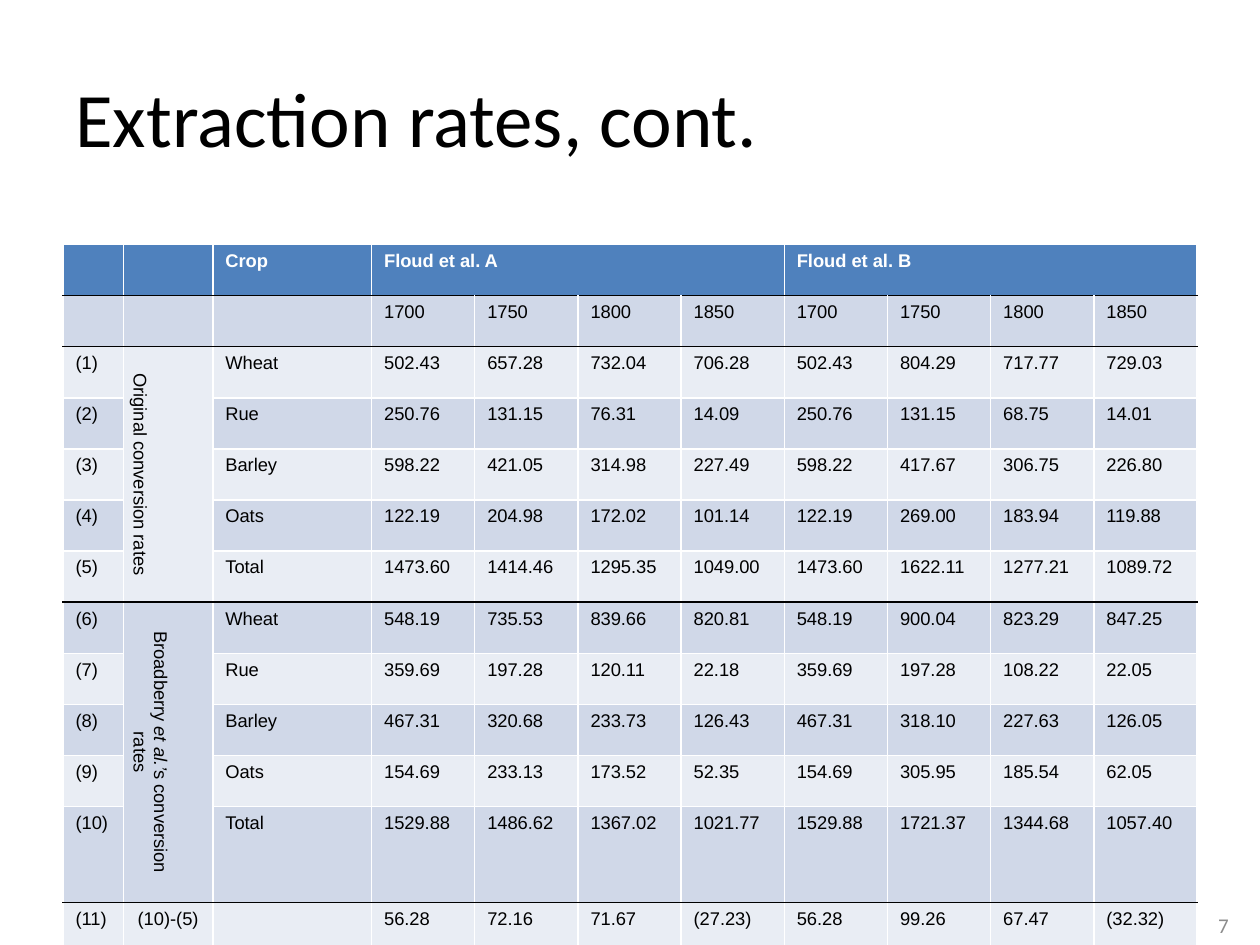
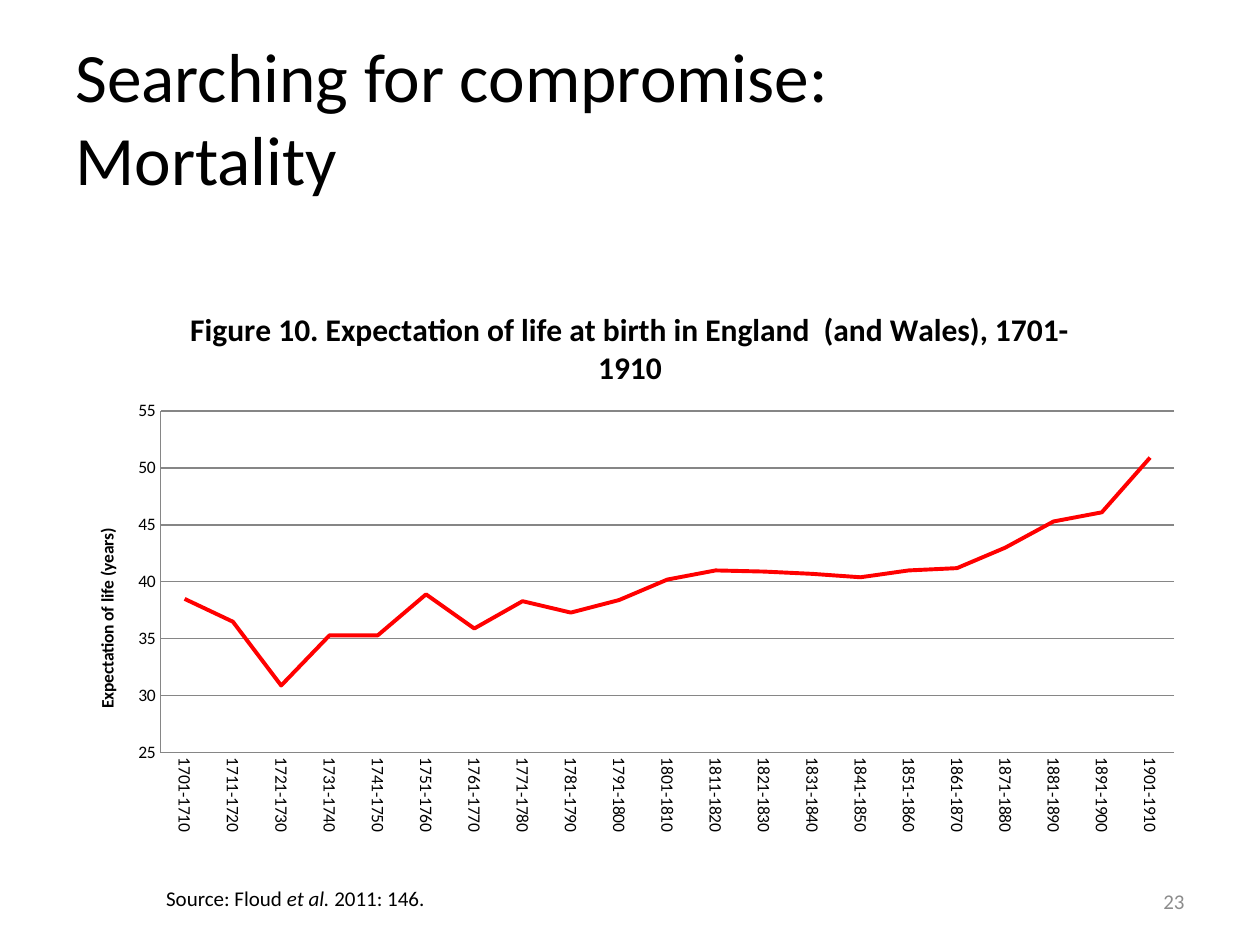
from lxml import etree
from pptx import Presentation
from pptx.chart.data import CategoryChartData
from pptx.dml.color import RGBColor
from pptx.enum.chart import XL_CHART_TYPE as CT, XL_TICK_MARK as TICK
from pptx.enum.text import MSO_ANCHOR as ANCHOR, PP_ALIGN as ALIGN
from pptx.oxml import parse_xml
from pptx.oxml.ns import nsdecls, qn
from pptx.util import Cm, Pt

BLACK, WHITE, GREY, RED = "000000", "FFFFFF", "8C8C8C", "FF0000"
HEADER, DARK_BAND, LIGHT_BAND, AXIS = "4F81BD", "D0D8E8", "E9EDF4", "868686"
MARGIN, CONTENT_W = 1.27, 22.86
TITLE_BOX = (MARGIN, 0.76, 18.64, 3.18)

ROW_H = 1.03
COL_W = [1.22, 1.8, 3.2] + [2.08] * 8
RULED_ROWS = {0, 1, 6, 11, 12}
YEARS = ["1700", "1750", "1800", "1850"]
CROPS = ["Wheat", "Rue", "Barley", "Oats", "Total"]
ORIGINAL_RATES = [("Original conversion rates", False)]
BROADBERRY_RATES = [("Broadberry ", False), ("et al.’", True), ("s conversion rates", False)]
OUTPUT = """
502.43 657.28 732.04 706.28 502.43 804.29 717.77 729.03
250.76 131.15 76.31 14.09 250.76 131.15 68.75 14.01
598.22 421.05 314.98 227.49 598.22 417.67 306.75 226.80
122.19 204.98 172.02 101.14 122.19 269.00 183.94 119.88
1473.60 1414.46 1295.35 1049.00 1473.60 1622.11 1277.21 1089.72
548.19 735.53 839.66 820.81 548.19 900.04 823.29 847.25
359.69 197.28 120.11 22.18 359.69 197.28 108.22 22.05
467.31 320.68 233.73 126.43 467.31 318.10 227.63 126.05
154.69 233.13 173.52 52.35 154.69 305.95 185.54 62.05
1529.88 1486.62 1367.02 1021.77 1529.88 1721.37 1344.68 1057.40
56.28 72.16 71.67 (27.23) 56.28 99.26 67.47 (32.32)
"""
LIFE_EXPECTANCY = [38.5, 36.5, 30.9, 35.3, 35.3, 38.9, 35.9, 38.3, 37.3, 38.4, 40.2,
                   41, 40.9, 40.7, 40.4, 41, 41.2, 43, 45.3, 46.1, 50.9]


def rgb(hex_color):
    """Turn a hex string into a colour."""
    return RGBColor.from_string(hex_color)


def style_font(font, size, color=BLACK, name="Calibri", bold=False, italic=False):
    """Set every property of a font."""
    font.size, font.name, font.bold, font.italic = Pt(size), name, bold, italic
    font.color.rgb = rgb(color)


def add_runs(p, runs, size, color=BLACK, name="Calibri", bold=False):
    """Add (text, italic) runs to a paragraph."""
    for text, italic in runs:
        r = p.add_run()
        r.text = text
        style_font(r.font, size, color, name, bold, italic)


def add_text(s, box, runs, size, color=BLACK, align=ALIGN.LEFT, anchor=ANCHOR.MIDDLE, wrap=True):
    """Place a one-paragraph text box."""
    tf = s.shapes.add_textbox(*map(Cm, box)).text_frame
    tf.word_wrap, tf.vertical_anchor = wrap, anchor
    p = tf.paragraphs[0]
    p.alignment = align
    add_runs(p, runs, size, color)


def add_slide(prs, title, size, number, number_box):
    """Add a slide with its title and number."""
    s = prs.slides.add_slide(prs.slide_layouts[6])
    add_text(s, TITLE_BOX, [(title, False)], size)
    add_text(s, number_box, [(number, False)], 12, GREY, ALIGN.RIGHT)
    return s


def border(cell, row):
    """Draw white cell borders, black where a row is ruled."""
    last = row + cell.span_height - 1
    black = {"T": row - 1 in RULED_ROWS, "B": last in RULED_ROWS}
    tcPr = cell._tc.get_or_add_tcPr()
    for side in "LRTB":
        color = BLACK if black.get(side) else WHITE
        tcPr.append(parse_xml(
            f'<a:ln{side} {nsdecls("a")} w="12700"><a:solidFill>'
            f'<a:srgbClr val="{color}"/></a:solidFill></a:ln{side}>'))


def table_rows():
    """Build the cell texts, row by row."""
    rows = [["", "", "Crop", "Floud et al. A", "", "", "", "Floud et al. B", "", "", ""],
            ["", "", ""] + YEARS * 2]
    crops = CROPS * 2 + [""]
    for i, line in enumerate(OUTPUT.strip().splitlines()):
        rows.append([f"({i + 1})", "", crops[i]] + line.split())
    rows[-1][1] = "(10)-(5)"
    return rows


def add_rates_table(s, left, top, width):
    """Place the table of extraction rates."""
    rows = table_rows()
    t = s.shapes.add_table(len(rows), len(COL_W), Cm(left), Cm(top),
                           Cm(width), Cm(ROW_H * len(rows))).table
    for col, w in zip(t.columns, COL_W):
        col.width = Cm(w)
    for row in t.rows:
        row.height = Cm(ROW_H)
    for first in (3, 7):
        t.cell(0, first).merge(t.cell(0, first + 3))
    for first in (2, 7):
        t.cell(first, 1).merge(t.cell(first + 4, 1))
    vertical = {2: ORIGINAL_RATES, 7: BROADBERRY_RATES}
    for i, texts in enumerate(rows):
        fill = HEADER if i == 0 else DARK_BAND if i % 2 else LIGHT_BAND
        for j, text in enumerate(texts):
            cell = t.cell(i, j)
            border(cell, i)
            cell.fill.solid()
            cell.fill.fore_color.rgb = rgb(fill)
            p = cell.text_frame.paragraphs[0]
            runs = [(text, False)] if text else []
            if j == 1 and i in vertical:
                runs = vertical[i]
                cell.vertical_anchor = ANCHOR.BOTTOM
                cell._tc.tcPr.set("vert", "vert")
            if j == 1 and runs:
                p.alignment = ALIGN.CENTER
            add_runs(p, runs, 10.5, BLACK if i else WHITE, "Arial", i == 0)


def set_layout(el, index, **sizes):
    """Fix a chart part at fractions of the chart box."""
    for old in el.findall(qn("c:layout")):
        el.remove(old)
    layout = etree.Element(qn("c:layout"))
    manual = etree.SubElement(layout, qn("c:manualLayout"))
    parts = {"xMode": "edge", "yMode": "edge", **sizes}
    if "w" in sizes:
        parts = {"layoutTarget": "inner", **parts}
    for tag, val in parts.items():
        etree.SubElement(manual, qn(f"c:{tag}")).set("val", str(val))
    el.insert(index, layout)


def title_chart_part(part, text, size):
    """Give a chart or an axis a bold title."""
    part.has_title = True
    r = (part.chart_title if hasattr(part, "chart_title") else part.axis_title)
    p = r.text_frame.paragraphs[0]
    add_runs(p, [(text, False)], size, bold=True)


def add_life_chart(s, left, top, width, height):
    """Place the line chart of life expectancy."""
    data = CategoryChartData(number_format="0.0")
    data.categories = [f"{y}-{y + 9}" for y in range(1701, 1902, 10)]
    data.add_series("Series 1", LIFE_EXPECTANCY)
    chart = s.shapes.add_chart(CT.LINE, Cm(left), Cm(top), Cm(width), Cm(height), data).chart
    chart.has_legend = False
    style_font(chart.font, 10)
    title_chart_part(chart, "Figure 10. Expectation of life at birth in England  "
                            "(and Wales), 1701-1910", 18)
    cat, val = chart.category_axis, chart.value_axis
    title_chart_part(val, "Expectation of life (years)", 10)
    val.minimum_scale, val.maximum_scale, val.major_unit = 25, 55, 5
    val.tick_labels.number_format = "0"
    val.tick_labels.number_format_is_linked = False
    val.has_major_gridlines = True
    for axis in (cat, val):
        axis.major_tick_mark = axis.minor_tick_mark = TICK.NONE
        style_font(axis.tick_labels.font, 10)
    for part in (cat, val, val.major_gridlines):
        part.format.line.color.rgb = rgb(AXIS)
        part.format.line.width = Pt(0.75)
    body = cat._element.find(qn("c:txPr")).find(qn("a:bodyPr"))
    body.set("rot", "5400000")
    body.set("vert", "horz")
    plot = chart.plots[0]
    plot.vary_by_categories = False
    series = plot.series[0]
    series.smooth = False
    series.format.line.color.rgb = rgb(RED)
    series.format.line.width = Pt(2.25)
    set_layout(chart._chartSpace.chart.plotArea, 0, x=0.086, y=0.227, w=0.894, h=0.61)
    set_layout(val.axis_title._element, 1, x=0.026, y=0.43)


def rates_slide(prs):
    """Build the slide with the extraction rates."""
    s = add_slide(prs, "Extraction rates, cont.", 44, "7", (19.1, 18.34, 5.92, 0.61))
    add_rates_table(s, MARGIN, 4.93, CONTENT_W)


def mortality_slide(prs):
    """Build the slide with the mortality chart."""
    s = add_slide(prs, "Searching for compromise: Mortality", 39.6, "23",
                  (18.21, 17.65, 5.92, 1.02))
    add_life_chart(s, MARGIN, 5.72, CONTENT_W, 11.3)
    source = [("Source: Floud ", False), ("et al.", True), (" 2011: 146.", False)]
    add_text(s, (3.1, 17.73, 5.79, 0.76), source, 12, anchor=ANCHOR.TOP, wrap=False)


def main():
    """Build and save the presentation."""
    prs = Presentation()
    prs.slide_width, prs.slide_height = Cm(25.4), Cm(19.05)
    rates_slide(prs)
    mortality_slide(prs)
    prs.save("out.pptx")


main()
